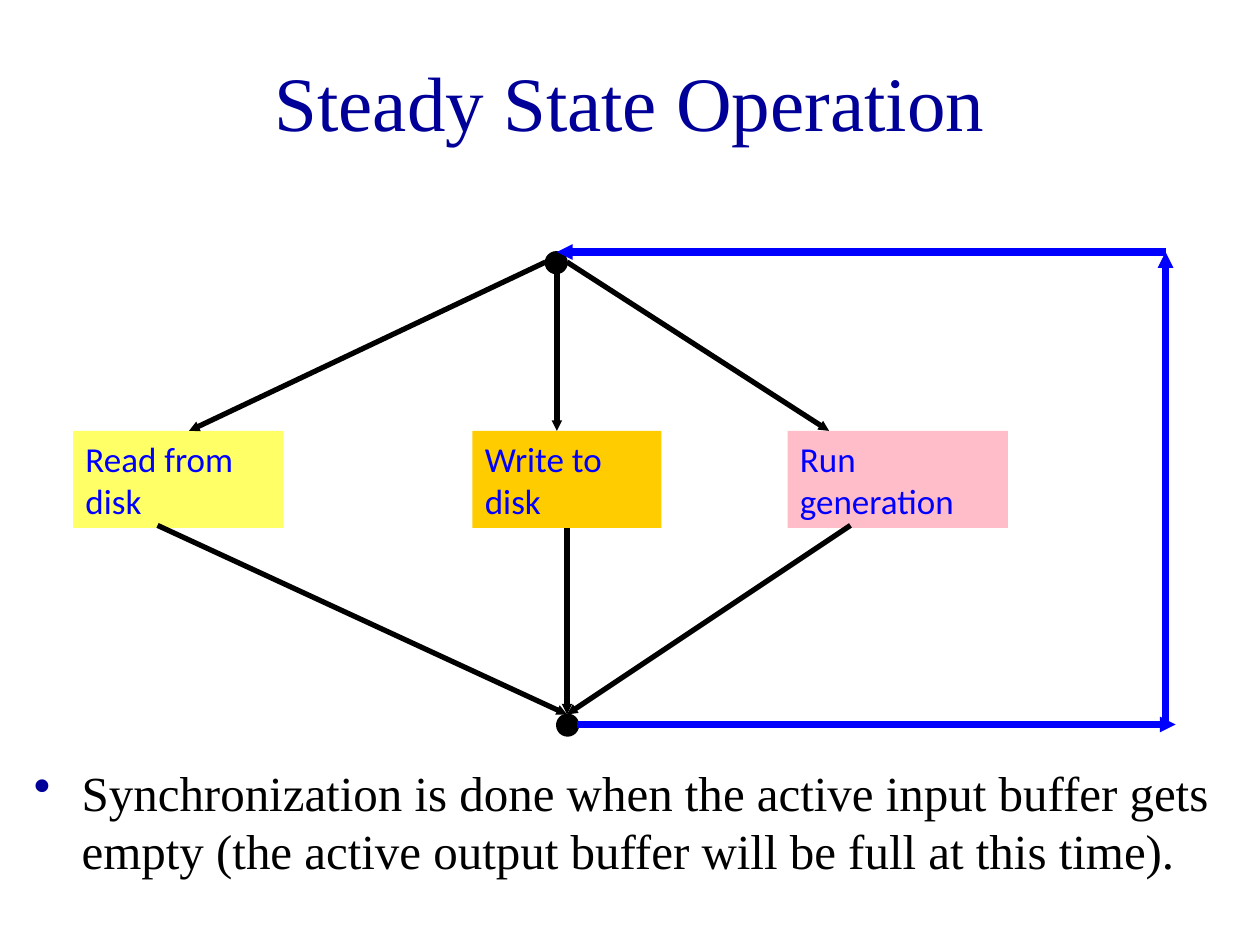
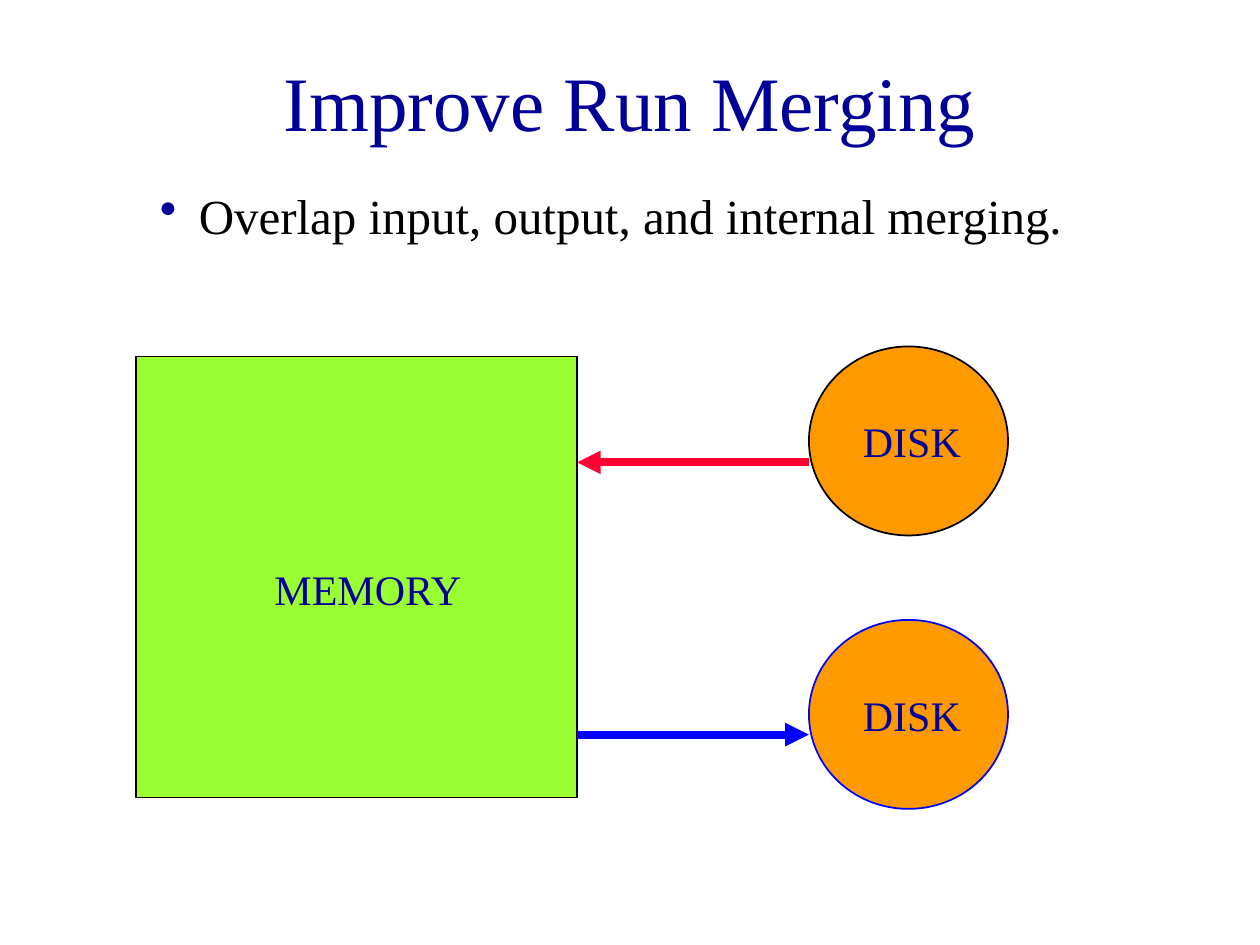
import pptx
import pptx.util
import pptx.dml.color
import pptx.enum.shapes
import pptx.enum.text
import pptx.oxml.ns
import lxml.etree
from dataclasses import dataclass

Inches = pptx.util.Inches
Pt = pptx.util.Pt
RGB = pptx.dml.color.RGBColor.from_string
SHAPE = pptx.enum.shapes.MSO_SHAPE
ALIGN = pptx.enum.text.PP_ALIGN
ANCHOR = pptx.enum.text.MSO_ANCHOR
qn = pptx.oxml.ns.qn


@dataclass(frozen=True)
class Theme:
    navy: str = "000099"
    blue: str = "0000FF"
    black: str = "000000"
    white: str = "FFFFFF"
    red: str = "FF0033"
    yellow: str = "FFFF66"
    gold: str = "FFCC00"
    pink: str = "FFBDCA"
    green: str = "99FF33"
    orange: str = "FF9900"
    serif: str = "Times New Roman"
    sans: str = "Calibri"
    title: int = 44
    body: int = 28
    label: int = 24
    step: int = 20
    thin: float = 3
    thick: float = 4.5


T = Theme()


def write(sp, text, size, color, font=T.serif, align=ALIGN.LEFT, anchor=ANCHOR.TOP):
    tf = sp.text_frame
    tf.word_wrap = True
    tf.vertical_anchor = anchor
    p = tf.paragraphs[0]
    p.alignment = align
    r = p.add_run()
    r.text = text
    r.font.size = Pt(size)
    r.font.name = font
    r.font.color.rgb = RGB(color)
    return p


def add_arrow(slide, start, end, color, width, head):
    """Draw a line with a triangle at its end; head is its size, "sm" or "med"."""
    points = [Inches(v) for v in (*start, *end)]
    cxn = slide.shapes.add_connector(pptx.enum.shapes.MSO_CONNECTOR.STRAIGHT, *points)
    cxn.line.color.rgb = RGB(color)
    cxn.line.width = Pt(width)
    lxml.etree.SubElement(cxn.line._get_or_add_ln(), qn("a:tailEnd"),
                          type="triangle", w=head, len=head)
    lxml.etree.SubElement(cxn._element.spPr, qn("a:effectLst"))
    return cxn


prs = pptx.Presentation()
prs.slide_width, prs.slide_height = Inches(10), Inches(7.5)

# Titles and bullets: title, bullet text, bullet box, left margin, hanging indent
pages = [
    ("Steady State Operation",
     "Synchronization is done when the active input buffer gets empty "
     "(the active output buffer will be full at this time).",
     (0.17, 6, 9.58, 1.33), 0.38, 0.38),
    ("Improve Run Merging",
     "Overlap input, output, and internal merging.",
     (0.67, 1.42, 8.5, 0.67), 0.81, 0.31),
]
for title, bullet, at, margin, hanging in pages:
    slide = prs.slides.add_slide(prs.slide_layouts[6])
    slide.background.fill.solid()
    slide.background.fill.fore_color.rgb = RGB(T.white)
    sp = slide.shapes.add_textbox(Inches(0.75), Inches(0.17), Inches(8.5), Inches(1.25))
    write(sp, title, T.title, T.navy, align=ALIGN.CENTER, anchor=ANCHOR.MIDDLE)

    sp = slide.shapes.add_textbox(*map(Inches, at))
    p = write(sp, bullet, T.body, T.black)
    pPr = p._p.get_or_add_pPr()
    pPr.set("marL", str(Inches(margin)))
    pPr.set("indent", str(-Inches(hanging)))
    buClr = lxml.etree.SubElement(pPr, qn("a:buClr"))
    lxml.etree.SubElement(buClr, qn("a:srgbClr"), val=T.navy)
    lxml.etree.SubElement(pPr, qn("a:buChar"), char="•")

steady, merging = prs.slides

# Steady state: three parallel steps between a fork and a join
steps = {}
step_top, step_height = 3.42, 0.77
for text, left, width, fill in [
    ("Read from disk", 0.58, 1.67, T.yellow),
    ("Write to disk", 3.75, 1.5, T.gold),
    ("Run generation", 6.25, 1.75, T.pink),
]:
    sp = steady.shapes.add_shape(SHAPE.RECTANGLE, Inches(left), Inches(step_top),
                                 Inches(width), Inches(step_height))
    sp.shadow.inherit = False
    sp.fill.solid()
    sp.fill.fore_color.rgb = RGB(fill)
    sp.line.fill.background()
    write(sp, text, T.step, T.blue, font=T.sans)
    steps[text] = sp

dot = 0.17
for left, top in [(4.33, 2), (4.42, 5.67)]:
    sp = steady.shapes.add_shape(SHAPE.OVAL, Inches(left), Inches(top),
                                 Inches(dot), Inches(dot))
    sp.shadow.inherit = False
    sp.fill.solid()
    sp.fill.fore_color.rgb = RGB(T.black)
    sp.line.color.rgb = RGB(T.black)
    sp.line.width = Pt(1)

for start, end in [((4.33, 2.08), (1.5, step_top)),
                   ((4.42, 2.17), (4.42, step_top)),
                   ((4.5, 2.08), (6.58, step_top))]:
    add_arrow(steady, start, end, T.black, T.thin, "sm")

join = (4.5, 5.67)
for left in (1.25, 6.75):
    add_arrow(steady, (left, 4.17), join, T.black, T.thin, "sm")
cxn = add_arrow(steady, (4.5, 4.19), join, T.black, T.thin, "sm")
cxn.begin_connect(steps["Write to disk"], 2)

for start, end in [((4.58, 5.75), (9.33, 5.75)),
                   ((9.25, 5.75), (9.25, 2)),
                   ((9.25, 2), (4.42, 2))]:
    add_arrow(steady, start, end, T.blue, T.thick, "sm")

# Run merging: memory exchanging data with an input and an output disk
for kind, at, fill, line, text, label_at in [
    (SHAPE.RECTANGLE, (1.08, 2.83, 3.5, 3.5), T.green, T.black,
     "MEMORY", (2.08, 4.42, 1.75, 0.5)),
    (SHAPE.OVAL, (6.42, 2.75, 1.58, 1.5), T.orange, T.black,
     "DISK", (6.75, 3.25, 1.33, 0.5)),
    (SHAPE.OVAL, (6.42, 4.92, 1.58, 1.5), T.orange, T.blue,
     "DISK", (6.75, 5.42, 1.33, 0.5)),
]:
    sp = merging.shapes.add_shape(kind, *map(Inches, at))
    sp.shadow.inherit = False
    sp.fill.solid()
    sp.fill.fore_color.rgb = RGB(fill)
    sp.line.color.rgb = RGB(line)
    sp.line.width = Pt(1)
    write(merging.shapes.add_textbox(*map(Inches, label_at)), text, T.label, T.navy)

memory_side, disk_side = 4.58, 6.42
add_arrow(merging, (disk_side, 3.67), (memory_side, 3.67), T.red, T.thick, "med")
add_arrow(merging, (memory_side, 5.83), (disk_side, 5.83), T.blue, T.thick, "med")

prs.save("out.pptx")
